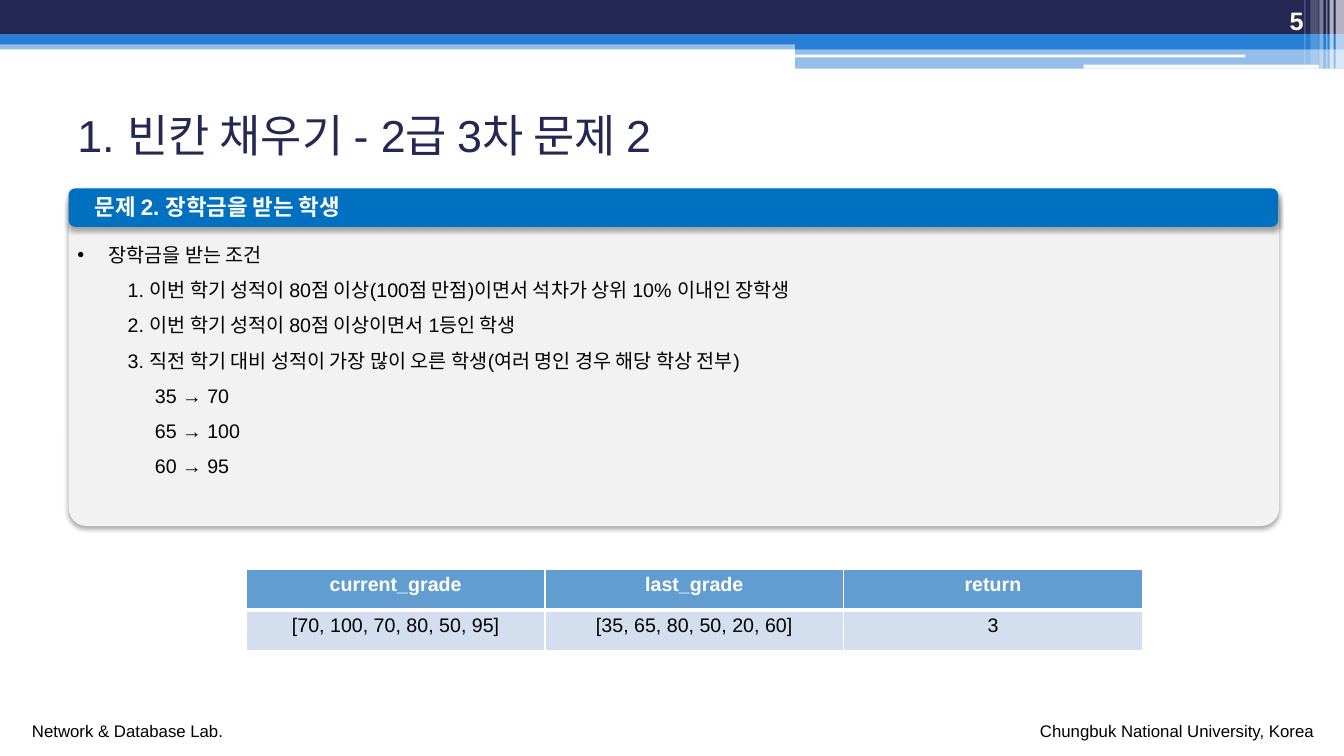
from lxml.etree import SubElement
from pptx import Presentation
from pptx.dml.color import RGBColor
from pptx.enum.shapes import MSO_SHAPE
from pptx.enum.text import MSO_ANCHOR, MSO_AUTO_SIZE, PP_ALIGN
from pptx.oxml.ns import qn
from pptx.util import Pt

NAVY = RGBColor(0x24, 0x28, 0x52)
BLUE = RGBColor(0x29, 0x7F, 0xD5)
HEADING_BLUE = RGBColor(0x00, 0x70, 0xC0)
TABLE_BLUE = RGBColor(0x62, 0x9D, 0xD1)
TABLE_LIGHT = RGBColor(0xD3, 0xDF, 0xEE)
GRAY = RGBColor(0xF2, 0xF2, 0xF2)
WHITE = RGBColor(0xFF, 0xFF, 0xFF)
BLACK = RGBColor(0, 0, 0)

prs = Presentation()
prs.slide_width, prs.slide_height = Pt(960), Pt(540)
s = prs.slides.add_slide(prs.slide_layouts[1])
title, body = s.placeholders


def add_box(x, y, w, h, color, alpha=100, adj=None, shadow=False):
    kind = MSO_SHAPE.RECTANGLE if adj is None else MSO_SHAPE.ROUNDED_RECTANGLE
    sp = s.shapes.add_shape(kind, Pt(x), Pt(y), Pt(w), Pt(h))
    if adj is not None:
        sp.adjustments[0] = adj
    sp.fill.solid()
    sp.fill.fore_color.rgb = color
    sp.line.fill.background()
    sp.shadow.inherit = False
    if alpha < 100:
        clr = sp._element.spPr.find(qn("a:solidFill"))[0]
        SubElement(clr, qn("a:alpha"), val=str(alpha * 1000))
    if shadow:
        effects = sp._element.spPr.find(qn("a:effectLst"))
        outer = SubElement(effects, qn("a:outerShdw"), blurRad=str(Pt(3.5)),
                           dist=str(Pt(2.2)), dir="5400000", rotWithShape="0")
        clr = SubElement(outer, qn("a:srgbClr"), val="000000")
        SubElement(clr, qn("a:alpha"), val="32000")


def write(p, text, size, color, bold=False, align=PP_ALIGN.LEFT):
    p.text = text
    p.alignment = align
    p.font.name = "Arial"
    p.font.size = Pt(size)
    p.font.color.rgb = color
    p.font.bold = bold


for x, y, w, h, color, alpha, adj in [
    (0, 28.8, 960, 6.5, BLUE, 50, None),
    (0, 0, 960, 24.5, NAVY, 100, None),
    (0, 24.5, 960, 7.2, BLUE, 100, None),
    (568, 28.1, 392, 7.2, BLUE, 100, None),
    (568, 34.8, 392, 14.2, BLUE, 50, None),
    (567.5, 39, 322, 2, WHITE, 100, 0.167),
    (774, 46.2, 168, 2.8, WHITE, 100, 0.167),
]:
    add_box(x, y, w, h, color, alpha, adj)

for x, w, h, alpha in [
    (954, 6, 49, 65), (949.7, 2.9, 49, 65), (947.5, 0.7, 49, 60),
    (942.5, 2.9, 49, 40), (936, 6, 46, 20), (931.7, 0.7, 46, 30),
]:
    add_box(x, 0, w, h, WHITE, alpha)

add_box(49, 134.6, 864.7, 241.2, GRAY, adj=0.054, shadow=True)
add_box(49, 134.6, 864, 27.4, HEADING_BLUE, adj=0.167, shadow=True)

for x, y, w, h, text, size, color, bold, align, anchor in [
    (15.8, 511.2, 152, 21.6, "Network & Database Lab.", 12, BLACK, False, PP_ALIGN.LEFT, MSO_ANCHOR.TOP),
    (735.8, 511.2, 211.7, 21.6, "Chungbuk National University, Korea", 12, BLACK, False, PP_ALIGN.LEFT, MSO_ANCHOR.TOP),
    (858.2, 0, 80, 28.8, "5", 18, WHITE, True, PP_ALIGN.RIGHT, MSO_ANCHOR.BOTTOM),
    (60.5, 134.6, 850, 26.6, "문제 2. 장학금을 받는 학생", 16, WHITE, True, PP_ALIGN.LEFT, MSO_ANCHOR.TOP),
]:
    tf = s.shapes.add_textbox(Pt(x), Pt(y), Pt(w), Pt(h)).text_frame
    tf.word_wrap = True
    tf.vertical_anchor = anchor
    write(tf.paragraphs[0], text, size, color, bold, align)

title.left, title.top, title.width, title.height = Pt(48), Pt(69.8), Pt(864), Pt(53.3)
title.text_frame.vertical_anchor = MSO_ANCHOR.MIDDLE
title.text_frame.auto_size = MSO_AUTO_SIZE.NONE
write(title.text_frame.paragraphs[0], "1. 빈칸 채우기 - 2급 3차 문제 2", 32, NAVY)

s.shapes._spTree.append(body._element)
body.left, body.top, body.width, body.height = Pt(48), Pt(161.3), Pt(868.3), Pt(182.2)
tf = body.text_frame
tf.auto_size = MSO_AUTO_SIZE.NONE
for i, (text, level, margin) in enumerate([
    ("장학금을 받는 조건", 0, 22.5),
    ("1. 이번 학기 성적이 80점 이상(100점 만점)이면서 석차가 상위 10% 이내인 장학생", 1, 36),
    ("2. 이번 학기 성적이 80점 이상이면서 1등인 학생", 1, 36),
    ("3. 직전 학기 대비 성적이 가장 많이 오른 학생(여러 명인 경우 해당 학상 전부)", 1, 36),
    ("35 → 70", 1, 55.5),
    ("65 → 100", 1, 55.5),
    ("60 → 95", 1, 55.5),
]):
    p = tf.add_paragraph() if i else tf.paragraphs[0]
    write(p, text, 14, BLACK)
    p.level = level
    p.line_spacing = 1.5
    p.space_before = Pt(0)
    pPr = p._p.get_or_add_pPr()
    pPr.set("marL", str(Pt(margin)))
    pPr.set("indent", str(Pt(0 if level else -margin)))
    bullet = pPr.makeelement(qn("a:buNone")) if level else pPr.makeelement(qn("a:buChar"), char="•")
    pPr.find(qn("a:defRPr")).addprevious(bullet)

rows = [
    ("current_grade", "last_grade", "return"),
    ("[70, 100, 70, 80, 50, 95]", "[35, 65, 80, 50, 20, 60]", "3"),
]
table = s.shapes.add_table(2, 3, Pt(176), Pt(406.4), Pt(640), Pt(58.4)).table
table.horz_banding = False
for i, row in enumerate(rows):
    header = i == 0
    for j, text in enumerate(row):
        cell = table.cell(i, j)
        write(cell.text_frame.paragraphs[0], text, 14, WHITE if header else BLACK, header, PP_ALIGN.CENTER)
        tcPr = cell._tc.get_or_add_tcPr()
        for side in ("L", "R", "T", "B"):
            thick = (i, side) in ((0, "B"), (1, "T"))
            ln = SubElement(tcPr, qn("a:ln" + side), w=str(Pt(3 if thick else 1)))
            SubElement(SubElement(ln, qn("a:solidFill")), qn("a:srgbClr"), val=str(WHITE))
        cell.fill.solid()
        cell.fill.fore_color.rgb = TABLE_BLUE if header else TABLE_LIGHT

prs.save("out.pptx")
